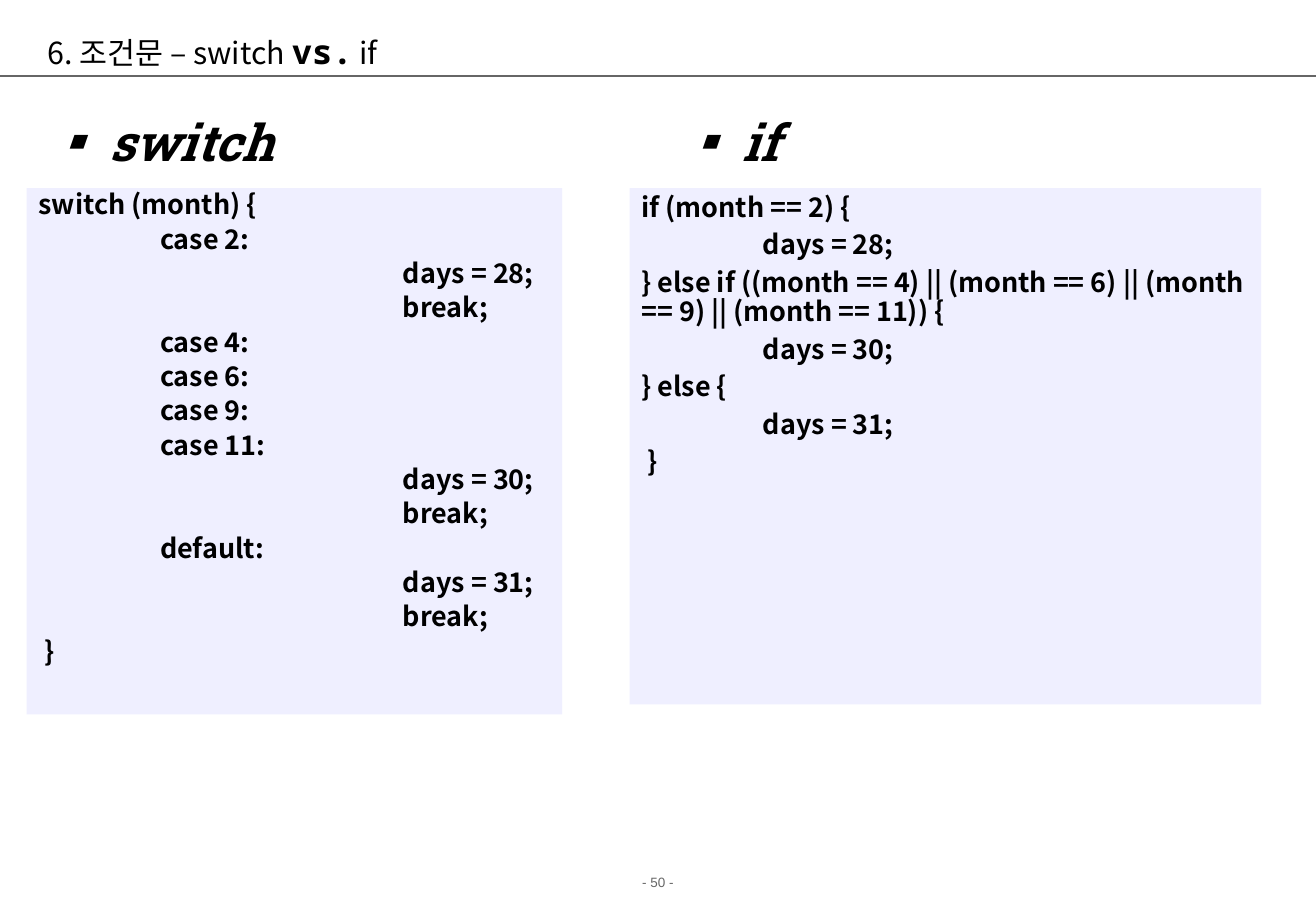
from lxml import etree
from pptx import Presentation
from pptx.dml.color import RGBColor
from pptx.enum import shapes, text
from pptx.oxml import ns
from pptx.util import Pt

COLORS = {"ink": "000000", "panel": "EFEFFF", "muted": "666666"}
SANS = "Noto Sans CJK KR"


def add_run(paragraph, words, size, face=SANS, color="ink", bold=False, italic=False):
    run = paragraph.add_run()
    run.text = words
    run.font.size = Pt(size)
    run.font.name = face
    run.font.bold = bold
    run.font.italic = italic
    run.font.color.rgb = RGBColor.from_string(COLORS[color])
    east_asian = etree.SubElement(run.font._element, ns.qn("a:ea"))
    east_asian.set("typeface", face)


deck = Presentation()
deck.slide_width = Pt(780.13)
deck.slide_height = Pt(540)
slide = deck.slides.add_slide(deck.slide_layouts[5])

page_number = slide.shapes.add_textbox(Pt(0), Pt(514.2), Pt(780), Pt(17.3)).text_frame
page_number.word_wrap = True
page_number.paragraphs[0].alignment = text.PP_ALIGN.CENTER
page_number.paragraphs[0].line_spacing = 1.01
add_run(page_number.paragraphs[0], "- 50 -", 8, "Arial", "muted")

header_rule = slide.shapes.add_connector(
    shapes.MSO_CONNECTOR.STRAIGHT, Pt(0), Pt(45), Pt(780), Pt(45))
header_rule.line.color.rgb = RGBColor.from_string(COLORS["muted"])
header_rule.line.width = Pt(0.75)
etree.SubElement(header_rule._element.spPr, ns.qn("a:effectLst"))

title = slide.shapes.title
title.left, title.top, title.width, title.height = Pt(21), Pt(15), Pt(732), Pt(30)
title.text_frame.auto_size = text.MSO_AUTO_SIZE.NONE
title.text_frame.vertical_anchor = text.MSO_ANCHOR.MIDDLE
title_line = title.text_frame.paragraphs[0]
title_line.alignment = text.PP_ALIGN.LEFT
title_props = title_line._p.get_or_add_pPr()
title_props.set("marL", str(Pt(30)))
title_props.set("indent", str(Pt(-30)))
add_run(title_line, "6. 조건문 – switch ", 18)
add_run(title_line, "vs.", 20, "Noto Sans Mono", bold=True)
add_run(title_line, " if", 18)

switch_code = """switch (month) {
\tcase 2:
\t\t\tdays = 28;
\t\t\tbreak;
\tcase 4:
\tcase 6:
\tcase 9:
\tcase 11:
\t\t\tdays = 30;
\t\t\tbreak;
\tdefault:
\t\t\tdays = 31;
\t\t\tbreak;
 }"""

if_code = """if (month == 2) {
\tdays = 28;
} else if ((month == 4) || (month == 6) || (month == 9) || (month == 11)) {
\tdays = 30;
} else {
\tdays = 31;
 }"""

columns = [
    ("switch", 27.2, 136, switch_code, 15.8, 317.5, 312, 0.8),
    ("if", 378.7, 107.3, if_code, 373.2, 374.4, 306, 0.9),
]

for keyword, heading_left, heading_width, code, left, width, height, spacing in columns:
    panel = slide.shapes.add_shape(
        shapes.MSO_SHAPE.RECTANGLE, Pt(left), Pt(111.5), Pt(width), Pt(height))
    panel.shadow.inherit = False
    panel.fill.solid()
    panel.fill.fore_color.rgb = RGBColor.from_string(COLORS["panel"])
    panel.line.fill.background()
    listing = panel.text_frame
    listing.word_wrap = True
    listing.vertical_anchor = text.MSO_ANCHOR.TOP
    for number, code_line in enumerate(code.split("\n")):
        paragraph = listing.add_paragraph() if number else listing.paragraphs[0]
        tabs = etree.SubElement(paragraph._p.get_or_add_pPr(), ns.qn("a:tabLst"))
        for inch in range(1, 8):
            etree.SubElement(tabs, ns.qn("a:tab"), pos=str(Pt(72 * inch)), algn="l")
        paragraph.alignment = text.PP_ALIGN.LEFT
        paragraph.line_spacing = spacing
        paragraph.space_before = Pt(5 if number else 0)
        add_run(paragraph, code_line, 16, bold=True)

    heading = slide.shapes.add_textbox(
        Pt(heading_left), Pt(65.7), Pt(heading_width), Pt(36)).text_frame
    heading.word_wrap = True
    heading.margin_left = heading.margin_right = Pt(0)
    heading.margin_top = heading.margin_bottom = Pt(0)
    heading.paragraphs[0].alignment = text.PP_ALIGN.CENTER
    add_run(heading.paragraphs[0], "▪ ", 30, italic=True)
    add_run(heading.paragraphs[0], keyword, 30, "Roboto Slab", bold=True, italic=True)

deck.save("out.pptx")
